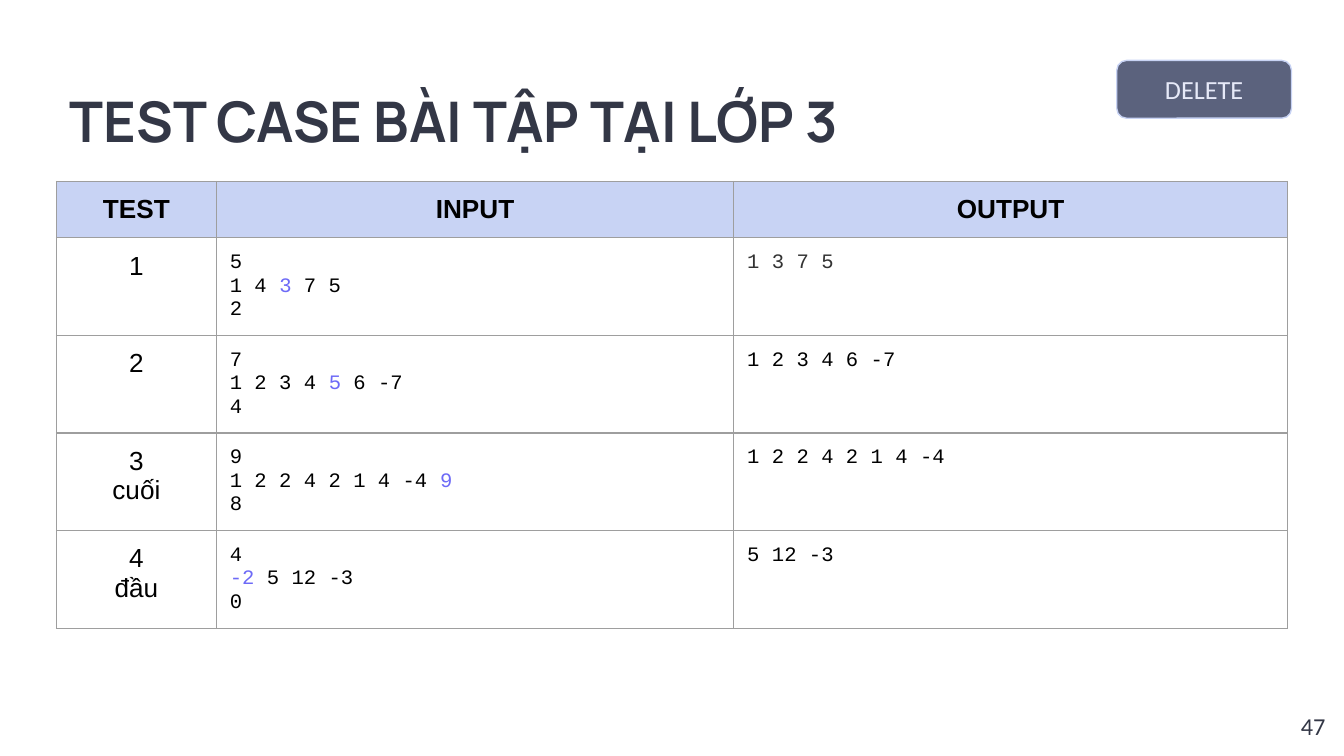
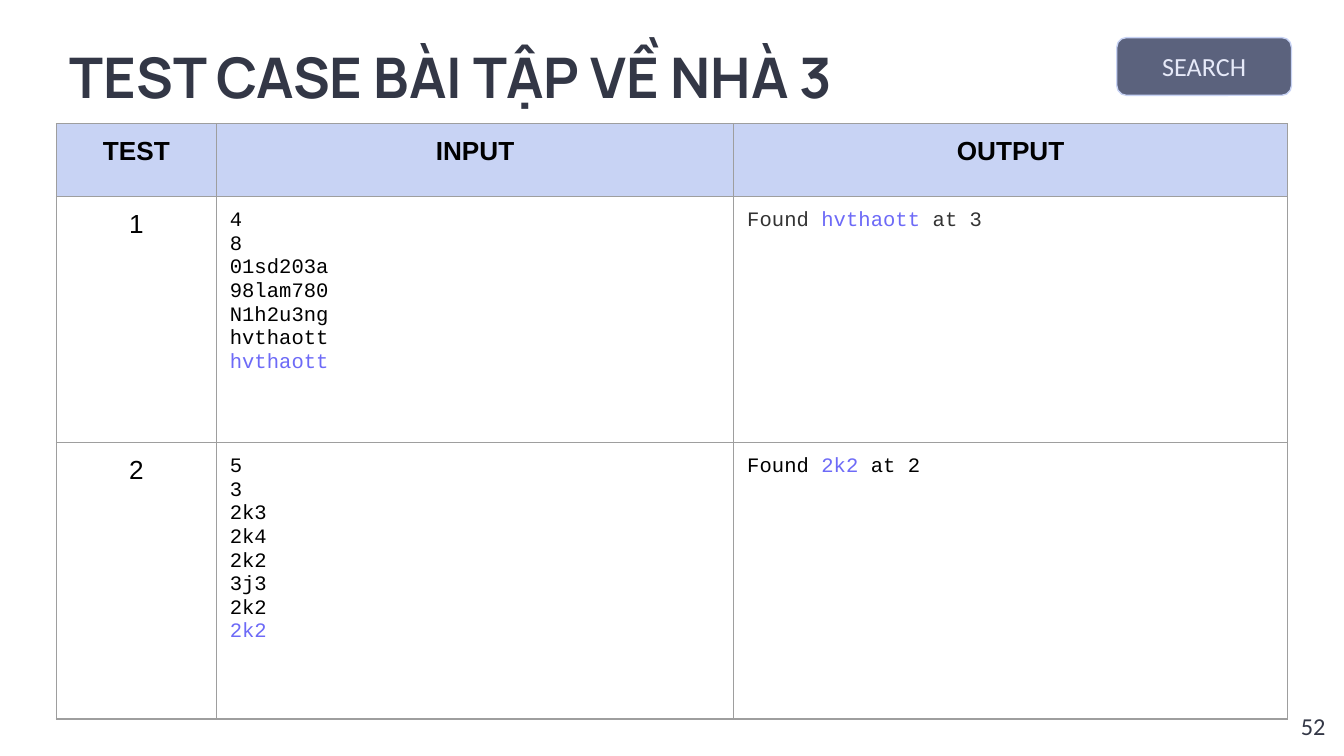
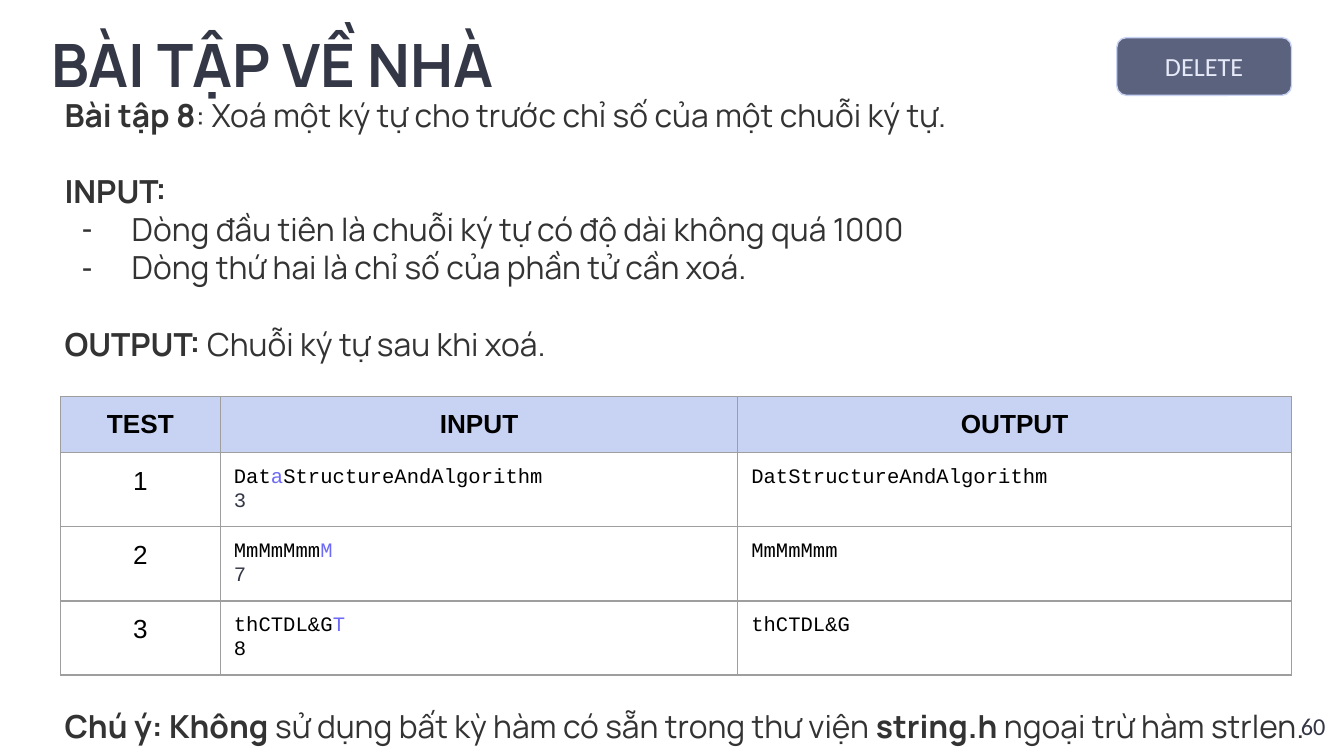
import pptx
import pptx.dml.color
import pptx.enum.shapes
import pptx.enum.text
import pptx.oxml
import pptx.oxml.ns
import pptx.util
from pptx.util import Inches

C = {"dark": "333746", "text": "333333", "black": "000000", "accent": "6D6AF7",
     "header": "C8D3F4", "badge": "5B627D", "badge_text": "E6E9F8", "grid": "9E9E9E"}
ALIGN = pptx.enum.text.PP_ALIGN
ANCHOR = pptx.enum.text.MSO_ANCHOR
NS = pptx.oxml.ns.nsdecls("a")
COLUMNS = [1.19, 3.85, 4.12]
HEADER = ["TEST", "INPUT", "OUTPUT"]
BODY_LINE = 20.5  # points per line of body text


def add_run(p, text, size, font, colour, bold=False):
    r = p.add_run()
    r.text = text
    r.font.size = pptx.util.Pt(size)
    r.font.name = font
    r.font.bold = bold
    r.font.color.rgb = pptx.dml.color.RGBColor.from_string(C[colour])


def set_frame(sp, box, anchor=ANCHOR.TOP):
    sp.left, sp.top, sp.width, sp.height = [Inches(v) for v in box]
    tf = sp.text_frame
    tf.word_wrap = True
    tf.auto_size = pptx.enum.text.MSO_AUTO_SIZE.NONE
    tf.vertical_anchor = anchor
    tf.margin_left = tf.margin_right = tf.margin_top = tf.margin_bottom = Inches(0.1)
    return tf


# Slide content: a paragraph is a string, or a list of (text, colour) runs
slides = [
    {"title": "TEST CASE BÀI TẬP TẠI LỚP 3", "title_box": (0.42, 0.47, 6.19, 0.77),
     "title_size": 30, "number": "47", "badge": "DELETE", "badge_top": 0.45,
     "table_at": (0.42, 1.35), "heights": [0.42, 0.42, 0.5, 0.42, 0.42],
     "rows": [
         [["1"],
          ["5", [("1 4 ", "black"), ("3", "accent"), (" 7 5", "black")], "2"],
          [[("1 3 7 5", "text")]]],
         [["2"],
          ["7", [("1 2 3 4 ", "black"), ("5", "accent"), (" 6 -7", "black")], "4"],
          ["1 2 3 4 6 -7"]],
         [["3", "cuối"],
          ["9", [("1 2 2 4 2 1 4 -4 ", "black"), ("9", "accent")], "8"],
          ["1 2 2 4 2 1 4 -4"]],
         [["4", "đầu"],
          ["4", [("-2", "accent"), (" 5 12 -3", "black")], "0"],
          ["5 12 -3"]],
     ]},
    {"title": "TEST CASE BÀI TẬP VỀ NHÀ 3", "title_box": (0.42, 0.14, 6.19, 0.77),
     "title_size": 30, "number": "52", "badge": "SEARCH", "badge_top": 0.28,
     "table_at": (0.42, 0.92), "heights": [0.54, 1.83, 2.06],
     "rows": [
         [["1"],
          ["4", "8", "01sd203a", "98lam780", "N1h2u3ng", "hvthaott",
           [("hvthaott", "accent")]],
          [[("Found ", "text"), ("hvthaott", "accent"), (" at 3", "text")]]],
         [["2"],
          ["5", "3", "2k3", "2k4", "2k2", "3j3", "2k2", [("2k2", "accent")]],
          [[("Found ", "black"), ("2k2", "accent"), (" at 2", "black")]]],
     ]},
    {"title": "BÀI TẬP VỀ NHÀ", "title_box": (0.28, 0.03, 5.65, 0.77),
     "title_size": 32, "number": "60", "badge": "DELETE", "badge_top": 0.28,
     "table_at": (0.45, 2.95), "heights": [0.42] * 4,
     "rows": [
         [["1"],
          [[("Dat", "black"), ("a", "accent"), ("StructureAndAlgorithm", "black")],
           [("3", "dark")]],
          ["DatStructureAndAlgorithm"]],
         [["2"], [[("MmMmMmm", "black"), ("M", "accent")], [("7", "dark")]], ["MmMmMmm"]],
         [["3"], [[("thCTDL&G", "black"), ("T", "accent")], "8"], ["thCTDL&G"]],
     ],
     # (lines of space before, dash bullet, [(text, bold)])
     "body": [
         (0, False, [("Bài tập 8", True),
                     (": Xoá một ký tự cho trước chỉ số của một chuỗi ký tự.", False)]),
         (1, False, [("INPUT:", True)]),
         (0, True, [("Dòng đầu tiên là chuỗi ký tự có độ dài không quá 1000", False)]),
         (0, True, [("Dòng thứ hai là chỉ số của phần tử cần xoá.", False)]),
         (1, False, [("OUTPUT:", True), (" Chuỗi ký tự sau khi xoá.", False)]),
         (9, False, [("Chú ý: Không", True),
                     (" sử dụng bất kỳ hàm có sẵn trong thư viện", False),
                     (" string.h ", True), ("ngoại trừ hàm strlen.", False)]),
     ]},
]

prs = pptx.Presentation()
prs.slide_width = Inches(10)
prs.slide_height = int(prs.slide_width * 9 / 16)

for data in slides:
    layout = prs.slide_layouts[1 if "body" in data else 5]
    slide = prs.slides.add_slide(layout)

    # Title
    p = set_frame(slide.shapes.title, data["title_box"]).paragraphs[0]
    p.alignment = ALIGN.LEFT
    p.line_spacing = 1.15
    add_run(p, data["title"], data["title_size"], "Manrope", "dark", True)

    # Page number
    sp = slide.shapes.add_textbox(0, 0, 0, 0)
    p = set_frame(sp, (9.36, 5.19, 0.6, 0.43)).paragraphs[0]
    p.alignment = ALIGN.RIGHT
    add_run(p, data["number"], 13, "Calibri", "dark")

    # Body text
    if "body" in data:
        tf = set_frame(slide.placeholders[1], (0.38, 0.61, 9.62, 4.93))
        for i, (gap, dash, runs) in enumerate(data["body"]):
            p = tf.paragraphs[0] if i == 0 else tf.add_paragraph()
            pPr = p._p.get_or_add_pPr()
            pPr.set("marL", str(Inches(0.5) if dash else 0))
            pPr.set("indent", str(Inches(-0.37) if dash else 0))
            if dash:
                pPr.append(pptx.oxml.parse_xml(
                    f'<a:buClr {NS}><a:srgbClr val="{C["text"]}"/></a:buClr>'))
                pPr.append(pptx.oxml.parse_xml(f'<a:buChar {NS} char="-"/>'))
            else:
                pPr.append(pptx.oxml.parse_xml(f'<a:buNone {NS}/>'))
            p.space_before = pptx.util.Pt(gap * BODY_LINE)
            for text, bold in runs:
                add_run(p, text, 17, "Manrope", "text", bold)

    # Topic badge
    sp = slide.shapes.add_shape(
        pptx.enum.shapes.MSO_SHAPE.ROUNDED_RECTANGLE, 0, 0, Inches(1), Inches(1))
    sp.shadow.inherit = False
    sp.fill.solid()
    sp.fill.fore_color.rgb = pptx.dml.color.RGBColor.from_string(C["badge"])
    sp.line.color.rgb = pptx.dml.color.RGBColor.from_string(C["header"])
    sp.line.width = pptx.util.Pt(0.75)
    p = set_frame(sp, (8.31, data["badge_top"], 1.3, 0.43), ANCHOR.MIDDLE).paragraphs[0]
    p.alignment = ALIGN.CENTER
    add_run(p, data["badge"], 14, "Calibri", "badge_text")

    # Test case table
    rows = [[[name] for name in HEADER]] + data["rows"]
    left, top = data["table_at"]
    table = slide.shapes.add_table(
        len(rows), len(COLUMNS), Inches(left), Inches(top),
        Inches(sum(COLUMNS)), Inches(sum(data["heights"]))).table
    table.first_row = table.horz_banding = False
    for column, width in zip(table.columns, COLUMNS):
        column.width = Inches(width)
    for i, row in enumerate(rows):
        table.rows[i].height = Inches(data["heights"][i])
        for j, paragraphs in enumerate(row):
            cell = table.cell(i, j)
            cell.margin_left = cell.margin_right = Inches(0.1)
            cell.margin_top = cell.margin_bottom = Inches(0.1)
            tcPr = cell._tc.get_or_add_tcPr()
            for side in "LRTB":
                tcPr.append(pptx.oxml.parse_xml(
                    f'<a:ln{side} {NS} w="9525"><a:solidFill>'
                    f'<a:srgbClr val="{C["grid"]}"/></a:solidFill></a:ln{side}>'))
            if i == 0:
                cell.fill.solid()
                cell.fill.fore_color.rgb = pptx.dml.color.RGBColor.from_string(C["header"])
            else:
                cell.fill.background()
            label = i == 0 or j == 0
            size, font = (14, "Arial") if label else (11, "Courier New")
            tf = cell.text_frame
            for k, runs in enumerate(paragraphs):
                p = tf.paragraphs[0] if k == 0 else tf.add_paragraph()
                p.alignment = ALIGN.CENTER if label else ALIGN.LEFT
                if isinstance(runs, str):
                    runs = [(runs, "black")]
                for text, colour in runs:
                    add_run(p, text, size, font, colour, i == 0)

prs.save("out.pptx")
